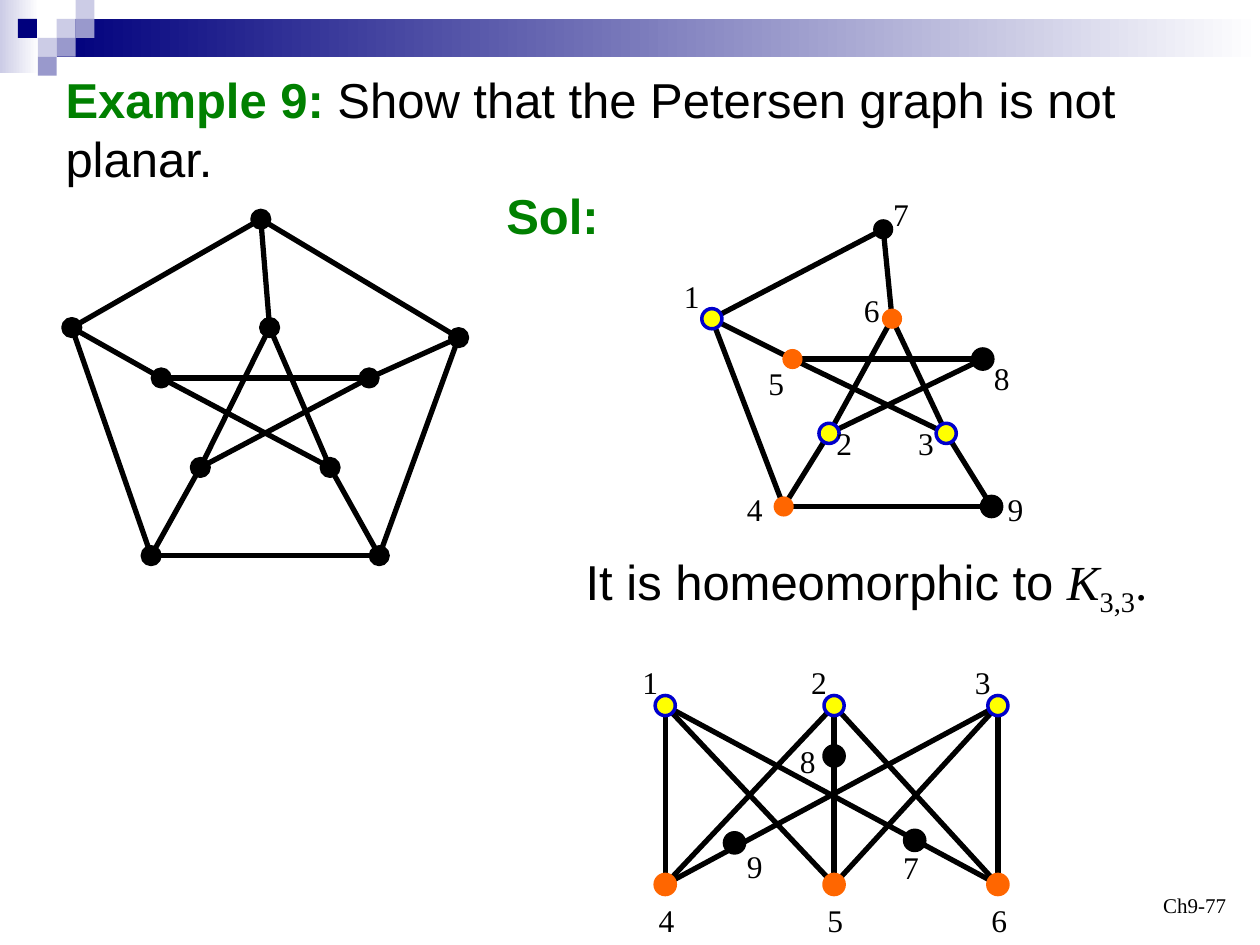
from itertools import product

from lxml import etree
from pptx import Presentation
from pptx.dml.color import RGBColor
from pptx.enum.shapes import MSO_CONNECTOR, MSO_SHAPE
from pptx.enum.text import MSO_ANCHOR, MSO_AUTO_SIZE, PP_ALIGN
from pptx.oxml.ns import qn
from pptx.util import Inches, Pt

RECTANGLE, OVAL = MSO_SHAPE.RECTANGLE, MSO_SHAPE.OVAL
STRAIGHT = MSO_CONNECTOR.STRAIGHT
TOP, BOTTOM = MSO_ANCHOR.TOP, MSO_ANCHOR.BOTTOM
LEFT, CENTER, RIGHT = PP_ALIGN.LEFT, PP_ALIGN.CENTER, PP_ALIGN.RIGHT

BLACK = RGBColor(0x00, 0x00, 0x00)
WHITE = RGBColor(0xFF, 0xFF, 0xFF)
NAVY = RGBColor(0x00, 0x00, 0x7D)
LAVENDER = RGBColor(0xCC, 0xCC, 0xE6)
PERIWINKLE = RGBColor(0x99, 0x99, 0xCC)
GREEN = RGBColor(0x00, 0x80, 0x00)
YELLOW = RGBColor(0xFF, 0xFF, 0x00)
BLUE = RGBColor(0x00, 0x00, 0xCC)
ORANGE = RGBColor(0xFF, 0x66, 0x00)

CELL = 0.1      # grid unit of the graphs, in inches
SQUARE = 0.15   # grid unit of the header, in inches

# Run formats
HEADING = {"name": "Arial", "size": Pt(28), "bold": True, "color": GREEN}
BODY = {"name": "Arial", "size": Pt(28), "bold": False, "color": BLACK}
MATH = {**BODY, "name": "Times New Roman"}
VARIABLE = {**MATH, "italic": True}
LABEL = {**MATH, "size": Pt(18)}
FOOTER = {**MATH, "size": Pt(12)}

# Node formats: fill and outline
PLAIN = (BLACK, BLACK)
UPPER = (YELLOW, BLUE)
LOWER = (ORANGE, ORANGE)
BARE_LOWER = (ORANGE, None)
BARE = (BLACK, None)


def add_run(paragraph, text, formats, baseline=None):
    run = paragraph.add_run()
    run.text = text
    for name, value in formats.items():
        if name == "color":
            run.font.color.rgb = value
        else:
            setattr(run.font, name, value)
    if baseline:
        run.font._element.set("baseline", str(baseline))


def fill_text(shape, runs, alignment=LEFT, anchor=TOP, wrap=True):
    frame = shape.text_frame
    frame.word_wrap = wrap
    frame.auto_size = MSO_AUTO_SIZE.NONE
    frame.vertical_anchor = anchor
    paragraph = frame.paragraphs[0]
    paragraph.alignment = alignment
    for run in runs:
        add_run(paragraph, *run)


def add_text(slide, box, runs, **layout):
    shape = slide.shapes.add_textbox(*map(Inches, box))
    fill_text(shape, runs, **layout)


def add_block(slide, kind, box, fill, outline=None):
    shape = slide.shapes.add_shape(kind, *map(Inches, box))
    shape.shadow.inherit = False
    if isinstance(fill, tuple) and not isinstance(fill, RGBColor):
        shape.fill.gradient()
        shape.fill.gradient_angle = 0
        for stop, color, position in zip(shape.fill.gradient_stops, fill, (0, 1)):
            stop.color.rgb = color
            stop.position = position
    else:
        shape.fill.solid()
        shape.fill.fore_color.rgb = fill
    if outline is None:
        shape.line.fill.background()
    else:
        shape.line.color.rgb = outline
        shape.line.width = Pt(2)


def add_edge(slide, start, end):
    line = slide.shapes.add_connector(STRAIGHT, *map(Inches, (*start, *end)))
    line.line.color.rgb = BLACK
    line.line.width = Pt(3)
    etree.SubElement(line._element.spPr, qn("a:effectLst"))


def add_header(slide, width):
    """Gradient bars and a mosaic of squares along the top edge."""
    add_block(slide, RECTANGLE, (0, 0, 0.31, 0.58), (LAVENDER, WHITE))
    bar_left = 3 * SQUARE
    add_block(slide, RECTANGLE, (bar_left, SQUARE, width - bar_left, 2 * SQUARE),
              (NAVY, WHITE))
    mosaic = [(3, 1, LAVENDER), (4, 0, LAVENDER), (4, 1, PERIWINKLE),
              (2, 2, LAVENDER), (0.95, 1, NAVY), (3, 2, PERIWINKLE),
              (2, 3, PERIWINKLE)]
    for column, row, color in mosaic:
        add_block(slide, RECTANGLE,
                  (column * SQUARE, row * SQUARE, SQUARE, SQUARE), color)


def add_graph(slide, origin, nodes, edges, diameter, labels=None):
    """Draw nodes {name: (column, row, style)} and edges from a corner."""
    def locate(column, row):
        return origin[0] + column * CELL, origin[1] + row * CELL

    for start, end in edges:
        add_edge(slide, locate(*nodes[start][:2]), locate(*nodes[end][:2]))
    for column, row, (fill, outline) in nodes.values():
        x, y = locate(column, row)
        add_block(slide, OVAL, (x - diameter / 2, y - diameter / 2,
                                diameter, diameter), fill, outline)
    for name, place in (labels or {}).items():
        x, y = locate(*place)
        add_text(slide, (x - 0.16, y - 0.2, 0.32, 0.4), [(str(name), LABEL)],
                 alignment=CENTER, wrap=False)


def add_petersen(slide, origin):
    """Outer cycle, spokes and inner star, both rings listed clockwise."""
    outer = [(15.7, 1.4), (31.4, 10.8), (25.1, 28.1), (7, 28.1), (0.7, 10)]
    inner = [(16.4, 10), (24.3, 14), (21.2, 21.1), (10.9, 21.1), (7.8, 14)]
    nodes, edges = {}, []
    for i in range(5):
        nodes["outer", i] = (*outer[i], PLAIN)
        nodes["inner", i] = (*inner[i], PLAIN)
        edges += [(("outer", i), ("outer", (i + 1) % 5)),
                  (("outer", i), ("inner", i)),
                  (("inner", i), ("inner", (i + 2) % 5))]
    add_graph(slide, origin, nodes, edges, 0.14)


def add_subgraph(slide, origin):
    """Part of the Petersen graph with its nine numbered nodes."""
    nodes = {1: (3.5, 10.3, UPPER), 2: (12.8, 19.4, UPPER), 3: (22.1, 19.4, UPPER),
             4: (9.2, 25.2, BARE_LOWER), 5: (9.9, 13.5, BARE_LOWER),
             6: (17.8, 10.3, BARE_LOWER), 7: (17.1, 3.2, BARE),
             8: (25, 13.5, PLAIN), 9: (25.7, 25.2, PLAIN)}
    edges = [(1, 7), (7, 6), (6, 2), (6, 3), (2, 4), (4, 1),
             (1, 5), (5, 3), (5, 8), (8, 2), (3, 9), (9, 4)]
    labels = {1: (1.9, 8.5), 2: (14, 20.2), 3: (20.5, 20.2), 4: (6.9, 25.4),
              5: (8.6, 15.4), 6: (16.2, 9.6), 7: (18.5, 2), 8: (26.5, 15),
              9: (27.6, 25.4)}
    add_graph(slide, origin, nodes, edges, 0.16, labels)


def add_bipartite(slide, origin):
    """K3,3: every upper node joined to every lower node."""
    columns = (1.8, 15.2, 28.2)
    nodes, labels = {}, {}
    for i, column in enumerate(columns):
        nodes[i + 1] = (column, 4, UPPER)
        nodes[i + 4] = (column, 18.2, LOWER)
        labels[i + 1] = (column - 1.2, 2.1)
        labels[i + 4] = (column + 0.1, 21)
    nodes.update({7: (21.6, 14.7, PLAIN), 8: (15.2, 8, PLAIN), 9: (7.3, 14.9, PLAIN)})
    labels.update({7: (21.3, 16.8), 8: (13.1, 8.4), 9: (8.9, 16.7)})
    add_graph(slide, origin, nodes, product((1, 2, 3), (4, 5, 6)), 0.16, labels)


def add_title(slide, box):
    title = slide.shapes.title
    title.left, title.top, title.width, title.height = map(Inches, box)
    fill_text(title, [("Example 9:", HEADING),
                      (" Show that the Petersen graph is not planar.", BODY)])


def main():
    presentation = Presentation()
    width, height = 10, 7.5
    presentation.slide_width = Inches(width)
    presentation.slide_height = Inches(height)
    slide = presentation.slides.add_slide(presentation.slide_layouts[5])

    add_header(slide, width)
    add_title(slide, (0.42, 0.5, 9.17, 1.04))
    add_petersen(slide, (0.5, 1.6))

    # Solution: the subgraph, the claim and K3,3
    add_text(slide, (3.92, 1.42, 0.93, 0.57), [("Sol:", HEADING)], wrap=False)
    add_subgraph(slide, (5.3, 1.5))
    add_text(slide, (4.55, 4.33, 4.66, 0.63),
             [("It is homeomorphic to ", BODY), ("K", VARIABLE),
              ("3,3", MATH, -25000), (".", MATH)], wrap=False)
    add_bipartite(slide, (5.1, 5.2))

    # Page number
    add_text(slide, (7.5, 6.83, 2.33, 0.5), [("Ch9-77", FOOTER)],
             alignment=RIGHT, anchor=BOTTOM)
    presentation.save("out.pptx")


if __name__ == "__main__":
    main()
